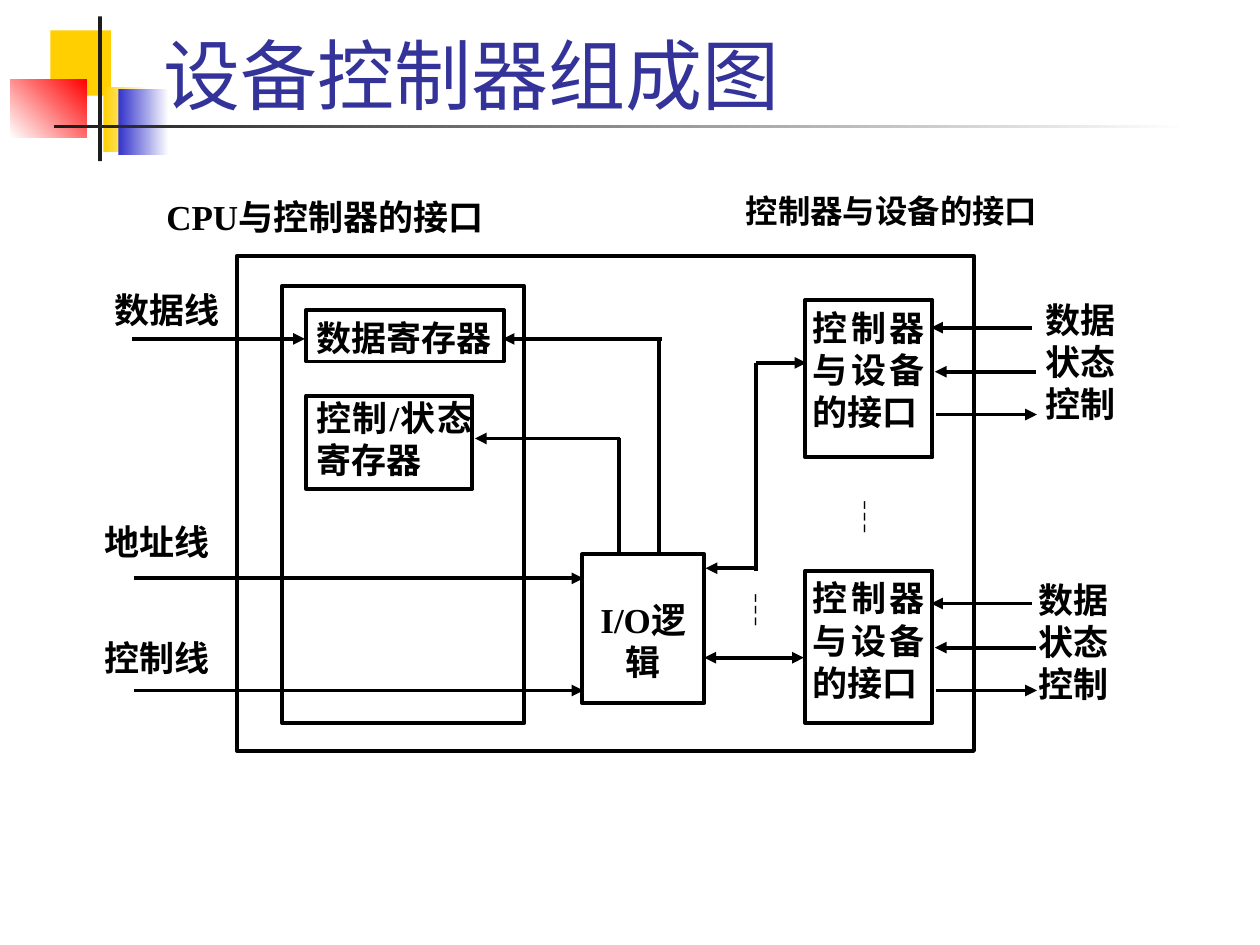
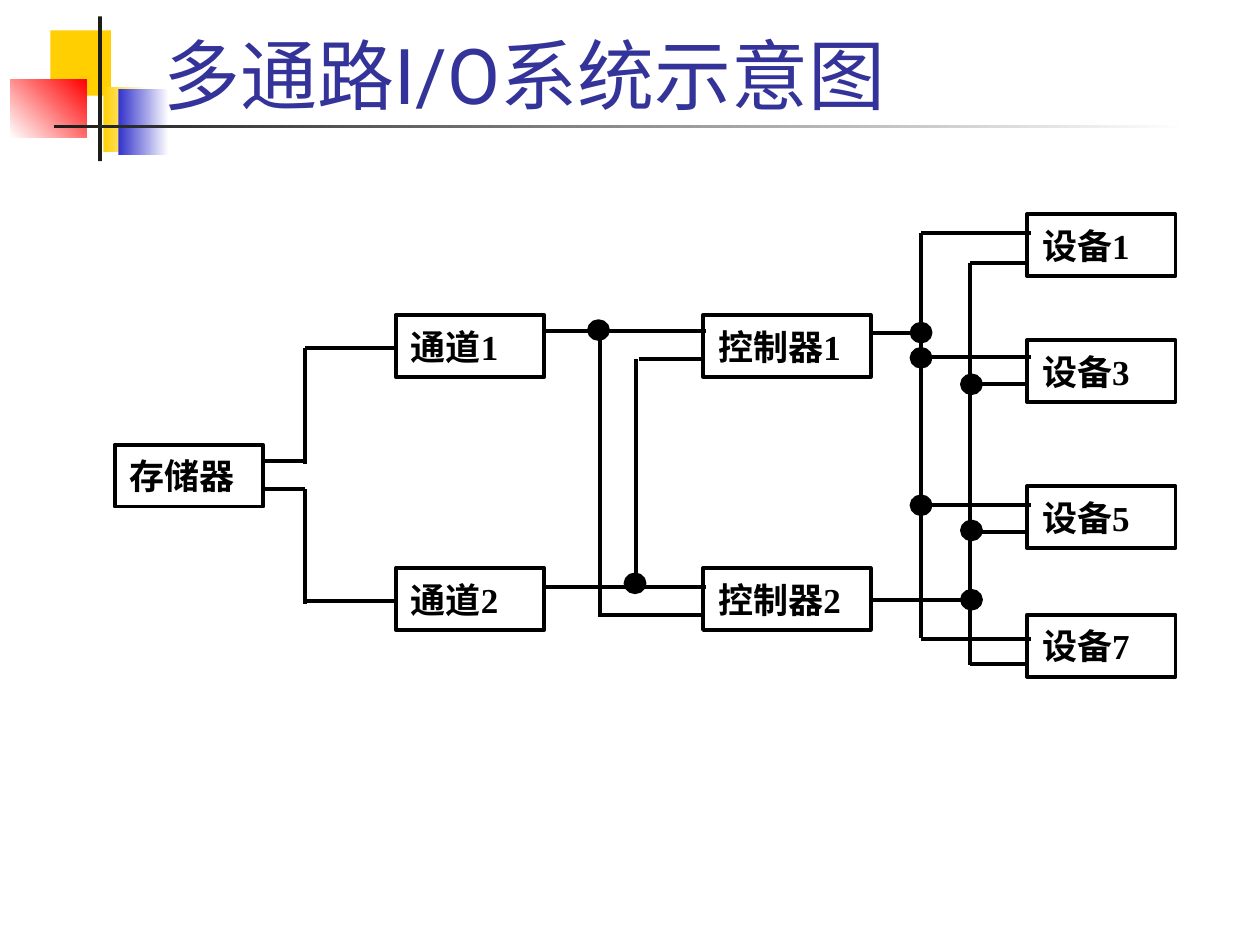
from typing import NamedTuple, Optional

from lxml import etree
from pptx import Presentation
from pptx import util as u
from pptx.dml.color import RGBColor
from pptx.enum import shapes, text
from pptx.oxml.ns import qn

BLACK = RGBColor(0x00, 0x00, 0x00)
WHITE = RGBColor(0xFF, 0xFF, 0xFF)
CHARCOAL = RGBColor(0x1C, 0x1C, 0x1C)
YELLOW = RGBColor(0xFF, 0xCF, 0x01)
BLUE = RGBColor(0x33, 0x33, 0xCC)
RED = RGBColor(0xFF, 0x00, 0x00)
TITLE_BLUE = RGBColor(0x33, 0x33, 0x99)

LATIN_FONT = "Times New Roman"
TITLE_FONT = "Roboto"
CHINESE_FONT = "Noto Sans CJK SC"
BODY_SIZE = 20
LINE_WIDTH = u.Pt(2.25)

# Every place and size counts in cells of a grid of 100 columns and 75 rows.
SLIDE_WIDTH, SLIDE_HEIGHT = u.Inches(10), u.Inches(7.5)
COLUMN, ROW = SLIDE_WIDTH / 100, SLIDE_HEIGHT / 75

RECTANGLE = shapes.MSO_SHAPE.RECTANGLE
OVAL = shapes.MSO_SHAPE.OVAL
JUSTIFY = text.PP_ALIGN.JUSTIFY
NO_INSETS = (0, 0, 0, 0)
DEFAULT_INSETS = (1, 0.5, 1, 0.5)


class Area(NamedTuple):
    left: float
    top: float
    width: float
    height: float

    def emu(self) -> tuple:
        return (round(self.left * COLUMN), round(self.top * ROW),
                round(self.width * COLUMN), round(self.height * ROW))


class Style(NamedTuple):
    size: float = BODY_SIZE
    font: str = LATIN_FONT
    color: RGBColor = BLACK
    bold: bool = True
    align: Optional[text.PP_ALIGN] = JUSTIFY
    spacing: Optional[float] = None


class Box(NamedTuple):
    area: Area
    words: str = ""
    insets: tuple = NO_INSETS
    style: Style = Style()


class Wire(NamedTuple):
    x1: float
    y1: float
    x2: float
    y2: float
    head: bool = False
    tail: bool = False


class Band(NamedTuple):
    area: Area
    start: RGBColor
    end: Optional[RGBColor] = None
    angle: float = 0


BODY = Style()
TITLE = Style(44, TITLE_FONT, TITLE_BLUE, False, None)
DOTS = Style(font=CHINESE_FONT, bold=False)

BANDS = [
    Band(Area(4, 2.4, 4.8, 5.2), YELLOW),
    Band(Area(8.2, 6.9, 3.6, 5.2), YELLOW, WHITE),
    Band(Area(9.4, 7.1, 4, 5.2), BLUE, WHITE),
    Band(Area(0.8, 6.3, 6.1, 4.6), WHITE, RED, 45),
    Band(Area(7.8, 1.3, 0.3, 11.5), CHARCOAL),
    Band(Area(4.3, 9.9, 90, 0.3), CHARCOAL, WHITE),
]


def write(shape, words: str, insets: tuple, style: Style,
          anchor=text.MSO_ANCHOR.TOP) -> None:
    frame = shape.text_frame
    frame.word_wrap = True
    frame.vertical_anchor = anchor
    left, top, right, bottom = insets
    frame.margin_left, frame.margin_right = round(left * COLUMN), round(right * COLUMN)
    frame.margin_top, frame.margin_bottom = round(top * ROW), round(bottom * ROW)
    frame.text = words
    for paragraph in frame.paragraphs:
        paragraph.alignment = style.align
        paragraph.line_spacing = style.spacing
        for run in paragraph.runs:
            run.font.name = style.font
            run.font.size = u.Pt(style.size)
            run.font.bold = style.bold
            run.font.color.rgb = style.color
            latin = run.font._element.find(qn("a:latin"))
            east_asian = etree.Element(qn("a:ea"), typeface=CHINESE_FONT)
            latin.addnext(east_asian)


def add_label(slide, box: Box, anchor=text.MSO_ANCHOR.TOP) -> None:
    shape = slide.shapes.add_textbox(*box.area.emu())
    write(shape, box.words, box.insets, box.style, anchor)


def add_filled(slide, kind, area: Area, color: RGBColor):
    shape = slide.shapes.add_shape(kind, *area.emu())
    shape.shadow.inherit = False
    shape.fill.solid()
    shape.fill.fore_color.rgb = color
    shape.line.color.rgb = BLACK
    shape.line.width = LINE_WIDTH
    return shape


def add_box(slide, box: Box) -> None:
    shape = add_filled(slide, RECTANGLE, box.area, WHITE)
    if box.words:
        write(shape, box.words, box.insets, box.style)


def add_wire(slide, wire: Wire) -> None:
    connector = slide.shapes.add_connector(
        shapes.MSO_CONNECTOR.STRAIGHT,
        round(wire.x1 * COLUMN), round(wire.y1 * ROW),
        round(wire.x2 * COLUMN), round(wire.y2 * ROW))
    connector.line.color.rgb = BLACK
    connector.line.width = LINE_WIDTH
    line = connector.line._get_or_add_ln()
    for end, shown in (("a:headEnd", wire.head), ("a:tailEnd", wire.tail)):
        if shown:
            etree.SubElement(line, qn(end), type="triangle")
    etree.SubElement(connector._element.spPr, qn("a:effectLst"))


def add_band(slide, band: Band) -> None:
    shape = add_filled(slide, RECTANGLE, band.area, band.start)
    shape.line.fill.background()
    if band.end is not None:
        shape.fill.gradient()
        shape.fill.gradient_angle = band.angle
        for stop, color in zip(shape.fill.gradient_stops, (band.start, band.end)):
            stop.color.rgb = color


def add_titled_slide(presentation, title: str):
    slide = presentation.slides.add_slide(presentation.slide_layouts[6])
    for band in BANDS:
        add_band(slide, band)
    add_label(slide, Box(Area(12, 1.7, 85.2, 8.3), title, DEFAULT_INSETS, TITLE),
              text.MSO_ANCHOR.BOTTOM)
    return slide


def build_controller_slide(presentation) -> None:
    slide = add_titled_slide(presentation, "设备控制器组成图")
    interface = "控制器与设备的接口"
    interface_insets = (0.6, 0.5, 0.6, 0.5)
    boxes = [
        Box(Area(18.8, 20.3, 58.5, 39.3)),
        Box(Area(22.4, 22.7, 19.2, 34.7)),
        Box(Area(24.3, 24.6, 15.7, 4.1), "数据寄存器", (0.8, 0.5, 0, 0.1)),
        Box(Area(24.3, 31.4, 13.2, 7.4), "控制/状态寄存器", (0.8, 0.1, 0, 0.1)),
        Box(Area(46.2, 44, 9.7, 11.8), "I/O逻辑", (0.2, 3.5, 0.2, 0.1),
            BODY._replace(align=text.PP_ALIGN.CENTER)),
        Box(Area(63.9, 23.8, 10.1, 12.5), interface, interface_insets),
        Box(Area(63.9, 45.3, 10.1, 12.1), interface, interface_insets),
    ]
    signals = "数据\n状态\n控制"
    labels = [
        Box(Area(13.2, 15.5, 26, 3.4), "CPU与控制器的接口"),
        Box(Area(59.2, 15.5, 25.8, 3.2), interface,
            style=BODY._replace(size=18.5, spacing=0.9)),
        Box(Area(9.1, 22.9, 10.1, 3.4), "数据线"),
        Box(Area(8.3, 41.3, 8.6, 3.7), "地址线"),
        Box(Area(8.3, 50.5, 10.1, 3.9), "控制线"),
        Box(Area(83, 23.7, 6.2, 10.8), signals),
        Box(Area(82.4, 45.9, 6.5, 10.3), signals),
        Box(Area(66.3, 38.8, 4.6, 4.8), "┆", DEFAULT_INSETS, DOTS),
        Box(Area(57.6, 46.2, 5, 4.8), "┆", DEFAULT_INSETS, DOTS),
    ]
    wires = [
        Wire(10.5, 26.9, 24.2, 26.9, tail=True),
        Wire(10.6, 45.9, 46.3, 45.9, tail=True),
        Wire(10.6, 54.8, 46.3, 54.8, tail=True),
        Wire(49.1, 34.8, 49.1, 44),
        Wire(49.2, 34.8, 37.7, 34.8, tail=True),
        Wire(52.3, 44, 52.3, 26.9),
        Wire(52.5, 26.9, 39.9, 26.9, tail=True),
        Wire(60, 28.8, 64, 28.8, tail=True),
        Wire(60, 28.8, 60, 45.3),
        Wire(60, 45.1, 56, 45.1, tail=True),
        Wire(63.8, 52.2, 55.9, 52.2, head=True, tail=True),
    ]
    for data_row in (26, 47.9):
        status_row, control_row = data_row + 3.5, data_row + 6.9
        wires += [
            Wire(81.9, data_row, 73.9, data_row, tail=True),
            Wire(82.2, status_row, 74.2, status_row, tail=True),
            Wire(74.3, control_row, 82.3, control_row, tail=True),
        ]
    for box in boxes:
        add_box(slide, box)
    for label in labels:
        add_label(slide, label)
    for wire in wires:
        add_wire(slide, wire)


class Device(NamedTuple):
    name: str
    top: float
    first_bus_row: float
    second_bus_row: float


def build_multipath_slide(presentation) -> None:
    slide = add_titled_slide(presentation, "多通路I/O系统示意图")
    height, narrow, wide = 4.9, 11.8, 13.3
    insets = (1.2, 0.8, 0.2, 0)
    first_bus, second_bus = 73.1, 77
    upper, lower = 25, 45.1
    devices = [
        Device("设备1", 17, 18.5, 20.9),
        Device("设备3", 27, 28.3, 30.5),
        Device("设备5", 38.6, 40.1, 42.2),
        Device("设备7", 48.8, 50.7, 52.7),
    ]
    boxes = [Box(Area(9.1, 35.3, narrow, height), "存储器", insets)]
    for number, top in enumerate((upper, lower), start=1):
        boxes += [
            Box(Area(31.4, top, narrow, height), f"通道{number}", insets),
            Box(Area(55.8, top, wide, height), f"控制器{number}", insets),
        ]
    wires = [
        Wire(21, 36.6, 24.2, 36.6),
        Wire(24.2, 27.6, 24.2, 36.8),
        Wire(24.2, 27.6, 31.4, 27.6),
        Wire(21, 38.8, 24.2, 38.8),
        Wire(24.2, 38.8, 24.2, 47.9),
        Wire(24.2, 47.7, 31.4, 47.7),
        Wire(43.1, 26.3, 56, 26.3),
        Wire(43.1, 46.6, 56, 46.6),
        Wire(47.6, 26.3, 47.6, 49),
        Wire(47.6, 48.8, 55.8, 48.8),
        Wire(50.5, 28.5, 50.5, 46.6),
        Wire(50.7, 28.5, 55.8, 28.5),
        Wire(69, 26.4, first_bus, 26.4),
        Wire(69, 47.6, second_bus, 47.6),
        Wire(first_bus, 18.5, first_bus, 50.6),
        Wire(second_bus, 20.9, second_bus, 52.8),
    ]
    for device in devices:
        boxes.append(Box(Area(81.5, device.top, narrow, height), device.name, insets))
        wires += [
            Wire(first_bus, device.first_bus_row, 81.8, device.first_bus_row),
            Wire(second_bus, device.second_bus_row, 81.5, device.second_bus_row),
        ]
    junctions = [(47.5, 26.2), (50.4, 46.3)]
    junctions += [(first_bus, row) for row in (26.4, 28.4, 40.1)]
    junctions += [(second_bus + 0.1, row) for row in (30.5, 42.1, 47.6)]
    for box in boxes:
        add_box(slide, box)
    for wire in wires:
        add_wire(slide, wire)
    dot_width, dot_height = 1.5, 1.4
    for x, y in junctions:
        area = Area(x - dot_width / 2, y - dot_height / 2, dot_width, dot_height)
        add_filled(slide, OVAL, area, BLACK)


def main() -> None:
    presentation = Presentation()
    presentation.slide_width, presentation.slide_height = SLIDE_WIDTH, SLIDE_HEIGHT
    build_controller_slide(presentation)
    build_multipath_slide(presentation)
    presentation.save("out.pptx")


if __name__ == "__main__":
    main()
